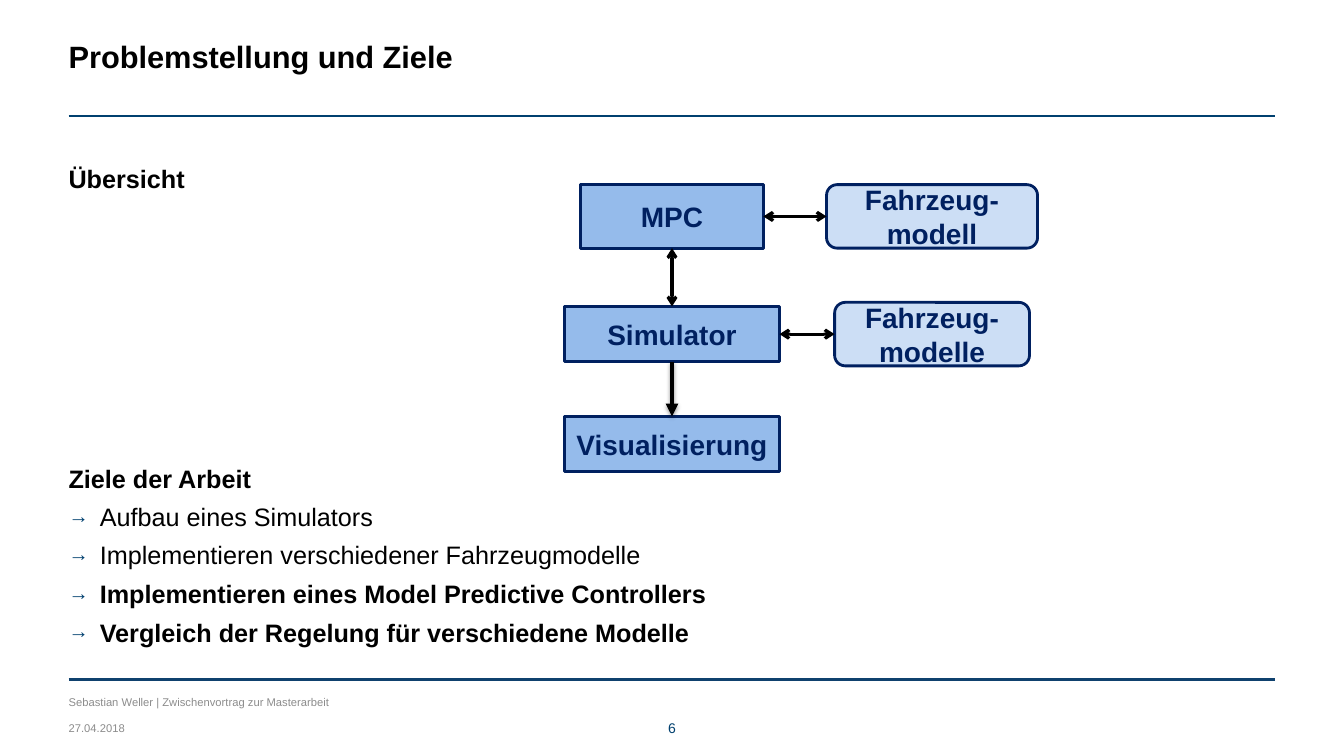
import dataclasses
import typing

import pptx
import pptx.dml.color
import pptx.enum.shapes
import pptx.enum.text
import pptx.oxml.ns
import pptx.util
from lxml import etree


@dataclasses.dataclass(frozen=True)
class Theme:
    font: str = "Arial"
    text: str = "000000"
    accent: str = "00406F"
    footer_rule: str = "0F416E"
    muted: str = "8C8C8C"
    box_fill: str = "95BBEB"
    box_line: str = "002060"
    title_size: float = 22
    box_size: float = 20
    body_size: float = 18
    number_size: float = 10
    footer_size: float = 8


@dataclasses.dataclass(frozen=True)
class Box:
    """A diagram box; centre and size are percentages of the slide."""
    text: str
    centre_x: float
    centre_y: float
    width: float
    height: float
    is_model: bool = False


@dataclasses.dataclass(frozen=True)
class Arrow:
    """A link between two boxes, by name and connection site."""
    start: str
    start_site: int
    end: str
    end_site: int
    both_ways: bool = True


@dataclasses.dataclass(frozen=True)
class Goal:
    text: str
    bold: bool = False


THEME = Theme()
WIDTH, HEIGHT = pptx.util.Inches(13.33), pptx.util.Inches(7.5)
LEFT, CONTENT = 5.1, 89.8
TOP, LEFT_SIDE, BOTTOM, RIGHT_SIDE = range(4)
MAIN_COLUMN, MODEL_COLUMN = 50, 69.35
ROWS = (28.63, 44.2, 58.73)
TALL, LOW = 8.4, 7.33

BOXES = (
    Box("MPC", MAIN_COLUMN, ROWS[0], 13.6, TALL),
    Box("Simulator", MAIN_COLUMN, ROWS[1], 16, LOW),
    Box("Visualisierung", MAIN_COLUMN, ROWS[2], 16, LOW),
    Box("Fahrzeug-modell", MODEL_COLUMN, ROWS[0], 15.7, TALL, True),
    Box("Fahrzeug-modelle", MODEL_COLUMN, ROWS[1], 14.5, TALL, True),
)
ARROWS = (
    Arrow("MPC", RIGHT_SIDE, "Fahrzeug-modell", LEFT_SIDE),
    Arrow("Simulator", RIGHT_SIDE, "Fahrzeug-modelle", LEFT_SIDE),
    Arrow("Simulator", TOP, "MPC", BOTTOM),
    Arrow("Simulator", BOTTOM, "Visualisierung", TOP, both_ways=False),
)
GOALS = (
    Goal("Aufbau eines Simulators"),
    Goal("Implementieren verschiedener Fahrzeugmodelle"),
    Goal("Implementieren eines Model Predictive Controllers", bold=True),
    Goal("Vergleich der Regelung für verschiedene Modelle", bold=True),
)


def across(percent: float) -> int:
    return round(WIDTH * percent / 100)


def down(percent: float) -> int:
    return round(HEIGHT * percent / 100)


def rgb(colour: str) -> pptx.dml.color.RGBColor:
    return pptx.dml.color.RGBColor.from_string(colour)


def add_element(parent: typing.Any, tag: str, **attributes: str) -> typing.Any:
    return etree.SubElement(parent, pptx.oxml.ns.qn(tag), attributes)


def write(frame: typing.Any, text: str, *, size: float, colour: str = THEME.text,
          bold: bool = False, centred: bool = False, after: float = 0,
          bullet: str = "") -> None:
    """Fill the empty first paragraph of a frame, or add one below."""
    paragraph = frame.paragraphs[0] if not frame.text else frame.add_paragraph()
    paragraph.text = text
    paragraph.alignment = (pptx.enum.text.PP_ALIGN.CENTER if centred
                           else pptx.enum.text.PP_ALIGN.LEFT)
    paragraph.space_before = pptx.util.Pt(0)
    paragraph.space_after = pptx.util.Pt(after)
    if bullet:
        properties = paragraph._p.get_or_add_pPr()
        indent = pptx.util.Inches(0.31)
        properties.set("marL", str(indent))
        properties.set("indent", str(-indent))
        add_element(add_element(properties, "a:buClr"), "a:srgbClr", val=THEME.accent)
        add_element(properties, "a:buSzPct", val="80000")
        add_element(properties, "a:buFont", typeface=THEME.font)
        add_element(properties, "a:buChar", char=bullet)
    for run in paragraph.runs:
        run.font.name = THEME.font
        run.font.size = pptx.util.Pt(size)
        run.font.bold = bold
        run.font.color.rgb = rgb(colour)


def prepare_frame(shape: typing.Any) -> typing.Any:
    frame = shape.text_frame
    frame.word_wrap = True
    frame.auto_size = pptx.enum.text.MSO_AUTO_SIZE.NONE
    frame.vertical_anchor = pptx.enum.text.MSO_ANCHOR.TOP
    frame.margin_left = frame.margin_right = frame.margin_top = frame.margin_bottom = 0
    return frame


def add_text_box(slide: typing.Any, left: float, top: float, width: float,
                 height: float) -> typing.Any:
    return prepare_frame(slide.shapes.add_textbox(
        across(left), down(top), across(width), down(height)))


def add_line(slide: typing.Any, colour: str, width: float, top: float = 0) -> typing.Any:
    """Add a line over the content width, without a shadow."""
    line = slide.shapes.add_connector(
        pptx.enum.shapes.MSO_CONNECTOR.STRAIGHT,
        across(LEFT), down(top), across(LEFT + CONTENT), down(top))
    line.line.color.rgb = rgb(colour)
    line.line.width = pptx.util.Pt(width)
    add_element(line.element.spPr, "a:effectLst")
    return line


def add_box(slide: typing.Any, box: Box) -> typing.Any:
    shape = slide.shapes.add_shape(
        pptx.enum.shapes.MSO_SHAPE.ROUNDED_RECTANGLE,
        across(box.centre_x - box.width / 2), down(box.centre_y - box.height / 2),
        across(box.width), down(box.height))
    shape.shadow.inherit = False
    shape.fill.solid()
    shape.fill.fore_color.rgb = rgb(THEME.box_fill)
    if box.is_model:
        colour = shape.element.spPr.find(".//" + pptx.oxml.ns.qn("a:srgbClr"))
        add_element(colour, "a:alpha", val="48000")
    else:
        shape.adjustments[0] = 0
    shape.line.color.rgb = rgb(THEME.box_line)
    shape.line.width = pptx.util.Pt(2)
    shape.text_frame.word_wrap = True
    shape.text_frame.vertical_anchor = pptx.enum.text.MSO_ANCHOR.MIDDLE
    write(shape.text_frame, box.text, size=THEME.box_size, colour=THEME.box_line,
          bold=True, centred=True)
    return shape


def add_arrow(slide: typing.Any, arrow: Arrow, shapes: dict[str, typing.Any]) -> None:
    line = add_line(slide, THEME.text, 2.25 if arrow.both_ways else 3)
    line.begin_connect(shapes[arrow.start], arrow.start_site)
    line.end_connect(shapes[arrow.end], arrow.end_site)
    outline = line.get_or_add_ln()
    if arrow.both_ways:
        add_element(outline, "a:headEnd", type="arrow")
        add_element(outline, "a:tailEnd", type="arrow")
        return
    add_element(outline, "a:tailEnd", type="triangle")
    effects = line.element.spPr.find(pptx.oxml.ns.qn("a:effectLst"))
    shadow = add_element(effects, "a:outerShdw", blurRad=str(pptx.util.Pt(3.1)),
                         dist=str(pptx.util.Pt(1.6)), dir="5400000", rotWithShape="0")
    add_element(add_element(shadow, "a:srgbClr", val=THEME.text), "a:alpha", val="38000")


def main() -> None:
    presentation = pptx.Presentation()
    presentation.slide_width, presentation.slide_height = WIDTH, HEIGHT
    slide = presentation.slides.add_slide(presentation.slide_layouts[5])

    # Title and rules
    title = slide.shapes.title
    title.left, title.top = across(LEFT), down(4.93)
    title.width, title.height = across(CONTENT), down(4.93)
    write(prepare_frame(title), "Problemstellung und Ziele", size=THEME.title_size, bold=True)
    add_line(slide, THEME.accent, 1, top=15.35)
    add_line(slide, THEME.footer_rule, 2.5, top=89.87)

    # Overview heading and goals
    body = add_text_box(slide, LEFT, 21.6, CONTENT, 67.2)
    write(body, "Übersicht", size=THEME.body_size, bold=True, after=193)
    write(body, "Ziele der Arbeit", size=THEME.body_size, bold=True, after=5)
    for goal in GOALS:
        write(body, goal.text, size=THEME.body_size, bold=goal.bold, after=6, bullet="→")

    # Diagram
    shapes = {box.text: add_box(slide, box) for box in BOXES}
    for arrow in ARROWS:
        add_arrow(slide, arrow, shapes)

    # Footer
    for text, top in (("Sebastian Weller | Zwischenvortrag zur Masterarbeit", 92),
                      ("27.04.2018", 95.47)):
        write(add_text_box(slide, LEFT, top, 31.6, 1.7), text,
              size=THEME.footer_size, colour=THEME.muted)
    write(add_text_box(slide, 47.64, 95.2, 4.72, 2.3), "6", size=THEME.number_size,
          colour=THEME.accent, centred=True)

    presentation.save("out.pptx")


if __name__ == "__main__":
    main()
